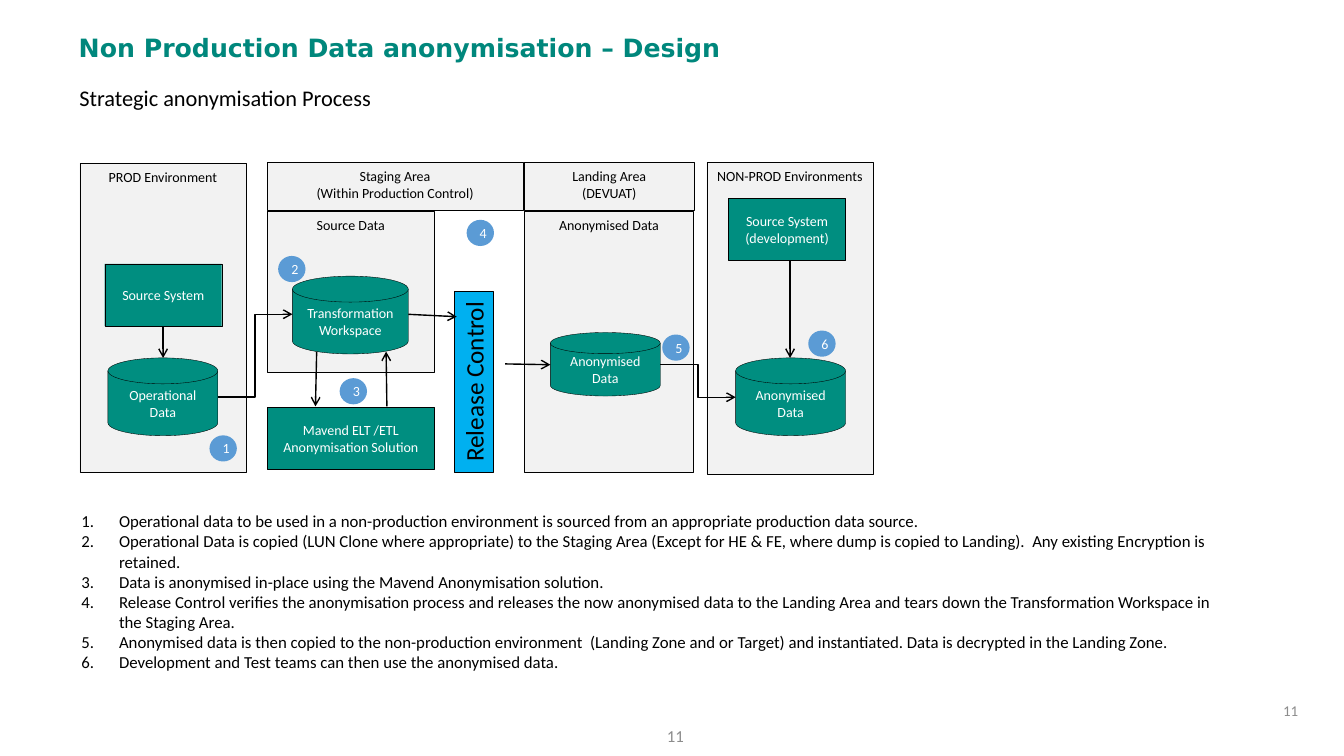
from lxml.etree import SubElement
from pptx import Presentation
from pptx.dml.color import RGBColor
from pptx.enum.shapes import MSO_CONNECTOR, MSO_SHAPE
from pptx.enum.text import MSO_ANCHOR, MSO_AUTO_SIZE, PP_ALIGN
from pptx.oxml.ns import qn
from pptx.util import Cm, Pt

HUES = {"teal": "008E80", "title": "00877C", "pale": "F2F2F2", "sky": "00B0F0",
        "badge": "5B9BD5", "black": "000000", "white": "FFFFFF", "grey": "8C8C8C"}

PANELS = [
    ("PROD Environment", 2.01, 4.11, 4.19, 7.8),
    ("Source Data", 6.73, 5.33, 4.22, 4.06),
    ("Anonymised Data", 13.21, 5.33, 4.27, 6.58),
    ("NON-PROD Environments", 17.81, 4.09, 4.19, 7.85),
    ("Staging Area\n(Within Production Control)", 6.73, 4.09, 6.45, 1.22),
    ("Landing Area\n(DEVUAT)", 13.21, 4.09, 4.29, 1.22),
]
BOXES = [
    ("Source System", 2.64, 6.65, 2.95, 1.57),
    ("Mavend ELT /ETL\nAnonymisation Solution", 6.73, 10.26, 4.22, 1.57),
    ("Source System\n(development)", 18.36, 5, 2.95, 1.57),
]
DISKS = [
    ("Operational Data", 2.72, 9.02, 2.77, 1.96),
    ("Transformation\nWorkspace", 7.37, 6.96, 2.92, 1.96),
    ("Anonymised Data", 13.87, 8.38, 2.77, 1.6),
    ("Anonymised Data", 18.54, 9.02, 2.77, 1.96),
]
FLOWS = [
    (4.11, 8.23, 4.11, 9.02),
    (7.98, 8.86, 7.95, 10.24),
    (9.75, 10.24, 9.73, 8.86),
    (10.29, 7.92, 11.51, 7.98),
    (12.73, 9.17, 13.87, 9.19),
    (19.91, 6.58, 19.91, 9.02),
]
BENDS = [(5.49, 10.01, 7.37, 7.92), (16.64, 9.19, 18.54, 10.01)]
BADGES = [(5.28, 10.97), (7.01, 6.45), (8.56, 9.53),
          (11.76, 5.54), (16.69, 8.43), (20.37, 8.33)]
STEPS = [
    "Operational data to be used in a non-production environment is sourced from an appropriate production data source.",
    "Operational Data is copied (LUN Clone where appropriate) to the Staging Area (Except for HE & FE, where dump is copied to Landing).  Any existing Encryption is retained.",
    "Data is anonymised in-place using the Mavend Anonymisation solution.",
    "Release Control verifies the anonymisation process and releases the now anonymised data to the Landing Area and tears down the Transformation Workspace in the Staging Area.",
    "Anonymised data is then copied to the non-production environment  (Landing Zone and or Target) and instantiated. Data is decrypted in the Landing Zone.",
    "Development and Test teams can then use the anonymised data.",
]


def tint(name):
    return RGBColor.from_string(HUES[name])


def apply(item, values):
    for key, value in values.items():
        setattr(item, key, value)


def place(shape, area):
    apply(shape, dict(zip(("left", "top", "width", "height"), map(Cm, area))))


def number(para):
    props = para._p.get_or_add_pPr()
    props.set("marL", str(Cm(0.95)))
    props.set("indent", str(-Cm(0.95)))
    SubElement(props, qn("a:buFont"), typeface="+mj-lt")
    SubElement(props, qn("a:buAutoNum"), type="arabicPeriod")


def write(shape, text, size, hue, align=PP_ALIGN.CENTER, anchor=MSO_ANCHOR.MIDDLE,
          font={}, para={}, frame={}, listed=False):
    body = shape.text_frame
    apply(body, {"text": text, "word_wrap": True, "auto_size": MSO_AUTO_SIZE.NONE,
                 "vertical_anchor": anchor, **frame})
    for item in body.paragraphs:
        apply(item, {"alignment": align, **para})
        if listed:
            number(item)
        for run in item.runs:
            apply(run.font, {"name": "Calibri", "size": Pt(size), **font})
            run.font.color.rgb = tint(hue)


def label(slide, text, area, size, hue, **style):
    box = slide.shapes.add_textbox(*map(Cm, area))
    write(box, text, size, hue, **style)


def block(slide, kind, text, area, fill, hue="white", size=10, edge=True, **style):
    shape = slide.shapes.add_shape(kind, *map(Cm, area))
    shape.shadow.inherit = False
    shape.fill.solid()
    shape.fill.fore_color.rgb = tint(fill)
    if edge:
        shape.line.color.rgb = tint("black")
        shape.line.width = Pt(0.25)
    else:
        shape.line.fill.background()
    write(shape, text, size, hue, **style)
    return shape


def arrow(slide, kind, ends):
    link = slide.shapes.add_connector(kind, *map(Cm, ends))
    link.line.color.rgb = tint("black")
    link.line.width = Pt(1)
    SubElement(link.line._get_or_add_ln(), qn("a:tailEnd"), type="arrow")
    SubElement(link._element.spPr, qn("a:effectLst"))


def draw(slide):
    rect = MSO_SHAPE.RECTANGLE
    slim = {"margin_left": Cm(0.1), "margin_right": Cm(0.1)}
    for text, *area in PANELS:
        block(slide, rect, text, area, "pale", "black", anchor=MSO_ANCHOR.TOP, frame=slim)
    gate = block(slide, rect, "Release Control", (9.65, 9.14, 4.57, 0.97),
                 "sky", "black", 18)
    gate.rotation = 270
    for text, *area in BOXES:
        block(slide, rect, text, area, "teal")
    for text, *area in DISKS:
        block(slide, MSO_SHAPE.FLOWCHART_MAGNETIC_DISK, text, area, "teal")
    for ends in FLOWS:
        arrow(slide, MSO_CONNECTOR.STRAIGHT, ends)
    for ends in BENDS:
        arrow(slide, MSO_CONNECTOR.ELBOW, ends)
    inset = {"margin_left": Cm(0.15), "margin_right": 0,
             "margin_top": 0, "margin_bottom": 0}
    for count, spot in enumerate(BADGES, 1):
        block(slide, MSO_SHAPE.OVAL, str(count), (*spot, 0.69, 0.66), "badge",
              edge=False, frame=inset)


def main():
    deck = Presentation()
    apply(deck, {"slide_width": Cm(33.87), "slide_height": Cm(19.05)})
    slide = deck.slides.add_slide(deck.slide_layouts[5])
    title = slide.shapes.title
    place(title, (1.73, 0.74, 29.79, 0.99))
    tight = {"line_spacing": 0.9}
    write(title, "Non Production Data anonymisation – Design", 18, "title",
          PP_ALIGN.LEFT, font={"name": "DejaVu Sans", "bold": True}, para=tight)
    label(slide, "Strategic anonymisation Process", (1.75, 2.08, 26.11, 1.32), 16, "black",
          align=PP_ALIGN.LEFT, anchor=MSO_ANCHOR.TOP, para=tight)
    draw(slide)
    label(slide, "\n".join(STEPS), (1.8, 12.75, 29.03, 4.37), 12, "black",
          align=PP_ALIGN.LEFT, anchor=MSO_ANCHOR.TOP, listed=True)
    label(slide, "11", (13.21, 18.03, 7.62, 1.02), 12, "grey")
    label(slide, "11", (24.82, 17.68, 7.9, 0.46), 10.7, "grey", align=PP_ALIGN.RIGHT,
          frame={"margin_top": 0, "margin_bottom": 0, "margin_right": 0})
    deck.save("out.pptx")


if __name__ == "__main__":
    main()
